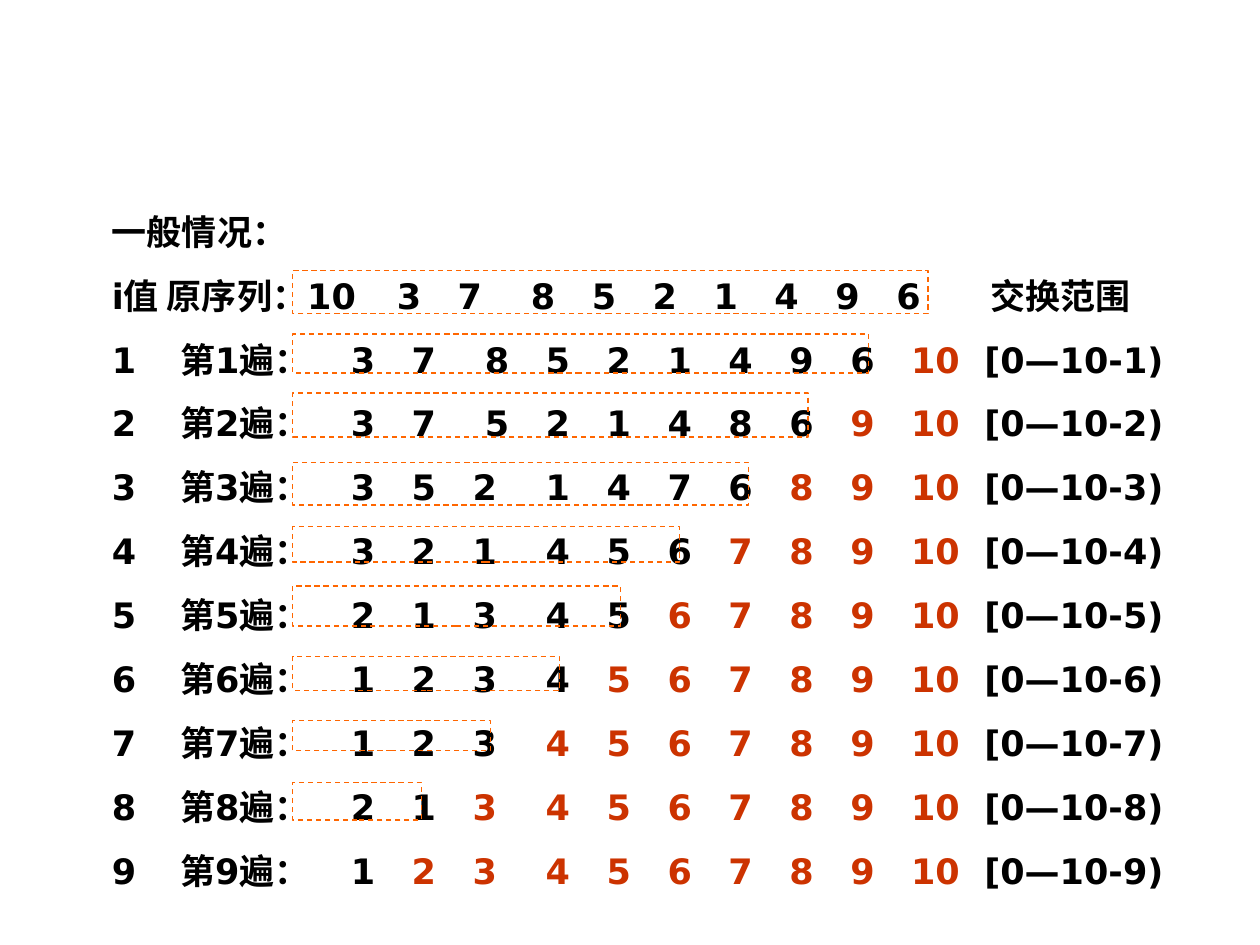
"""Build a slide that traces the passes of a bubble sort."""
from lxml import etree
from pptx import Presentation
from pptx.dml.color import RGBColor
from pptx.enum.dml import MSO_LINE_DASH_STYLE as Dash
from pptx.enum.shapes import MSO_SHAPE as Shape
from pptx.enum.text import MSO_AUTO_SIZE as AutoSize
from pptx.oxml.ns import qn
from pptx.util import Pt

COLORS = {"text": "000000", "sorted": "CC3300", "range": "FF6600"}
PITCH, WIDE_GAP = 34.8, 7
HEADER = "10 3 7 8 5 2 1 4 9 6"
PASSES = [
    "3 7 8 5 2 1 4 9 6 10",
    "3 7 5 2 1 4 8 6 9 10",
    "3 5 2 1 4 7 6 8 9 10",
    "3 2 1 4 5 6 7 8 9 10",
    "2 1 3 4 5 6 7 8 9 10",
    "1 2 3 4 5 6 7 8 9 10",
    "1 2 3 4 5 6 7 8 9 10",
    "2 1 3 4 5 6 7 8 9 10",
    "1 2 3 4 5 6 7 8 9 10",
]
RANGES = [
    (154.8, 363, 24.5),
    (190.8, 329, 22.3),
    (224.6, 294.5, 25.2),
    (264.2, 260.6, 24.5),
    (301, 221, 20.2),
    (334.8, 187.2, 23),
    (375.1, 152.6, 19.4),
    (411.8, 113, 17.3),
    (447.1, 73.4, 21.6),
]


def columns(start, gap):
    """Return the tab stops of the ten numbers, with a wider gap at one index."""
    return [start + PITCH * i + WIDE_GAP * (i >= gap) for i in range(10)]


class Deck:
    """Hold the text style and the current slide."""

    def __init__(self, width, height, font, size):
        self.prs = Presentation()
        self.prs.slide_width, self.prs.slide_height = Pt(width), Pt(height)
        self.font, self.size = font, size
        self.slide = self.prs.slides.add_slide(self.prs.slide_layouts[6])

    def text_box(self, x, y, w, h):
        tf = self.slide.shapes.add_textbox(Pt(x), Pt(y), Pt(w), Pt(h)).text_frame
        tf.word_wrap = True
        tf.auto_size = AutoSize.SHAPE_TO_FIT_TEXT
        return tf

    def line(self, tf, parts, stops=()):
        p = tf.paragraphs[0] if not tf.text else tf.add_paragraph()
        p.space_before = Pt(12.5)
        if stops:
            tabs = etree.SubElement(p._p.get_or_add_pPr(), qn("a:tabLst"))
            for stop in stops:
                etree.SubElement(tabs, qn("a:tab"), pos=str(Pt(stop)), algn="l")
        for text, color in parts:
            r = p.add_run()
            r.text = text
            r.font.name, r.font.size, r.font.bold = self.font, Pt(self.size), True
            r.font.color.rgb = RGBColor.from_string(COLORS[color])

    def dashed_box(self, x, y, w, h):
        sp = self.slide.shapes.add_shape(Shape.RECTANGLE, Pt(x), Pt(y), Pt(w), Pt(h))
        sp.shadow.inherit = False
        sp.fill.background()
        sp.line.color.rgb = RGBColor.from_string(COLORS["range"])
        sp.line.width = Pt(0.75)
        sp.line.dash_style = Dash.DASH


def main():
    deck = Deck(720, 540, "DejaVu Sans", 20)
    tf = deck.text_box(56.9, 116.6, 626.4, 396.7)
    deck.line(tf, [("一般情况：", "text")])
    header = "\t".join(HEADER.split() + ["交换范围"])
    deck.line(tf, [("i值 原序列：" + header, "text")], columns(128, 3)[1:] + [502])
    for n, sequence in enumerate(PASSES, 1):
        values = sequence.split()
        unsorted, done = values[:-n], values[-n:]
        parts = [
            ("\t".join([str(n), f"第{n}遍：", *unsorted, ""]), "text"),
            ("\t".join(done), "sorted"),
            (f"\t[0—10-{n})", "text"),
        ]
        stops = [39, *columns(136.5, 2 if n <= 2 else 3), 498.5]
        deck.line(tf, parts, stops)
    for y, w, h in RANGES:
        deck.dashed_box(167.3, y, w, h)
    deck.prs.save("out.pptx")


if __name__ == "__main__":
    main()
